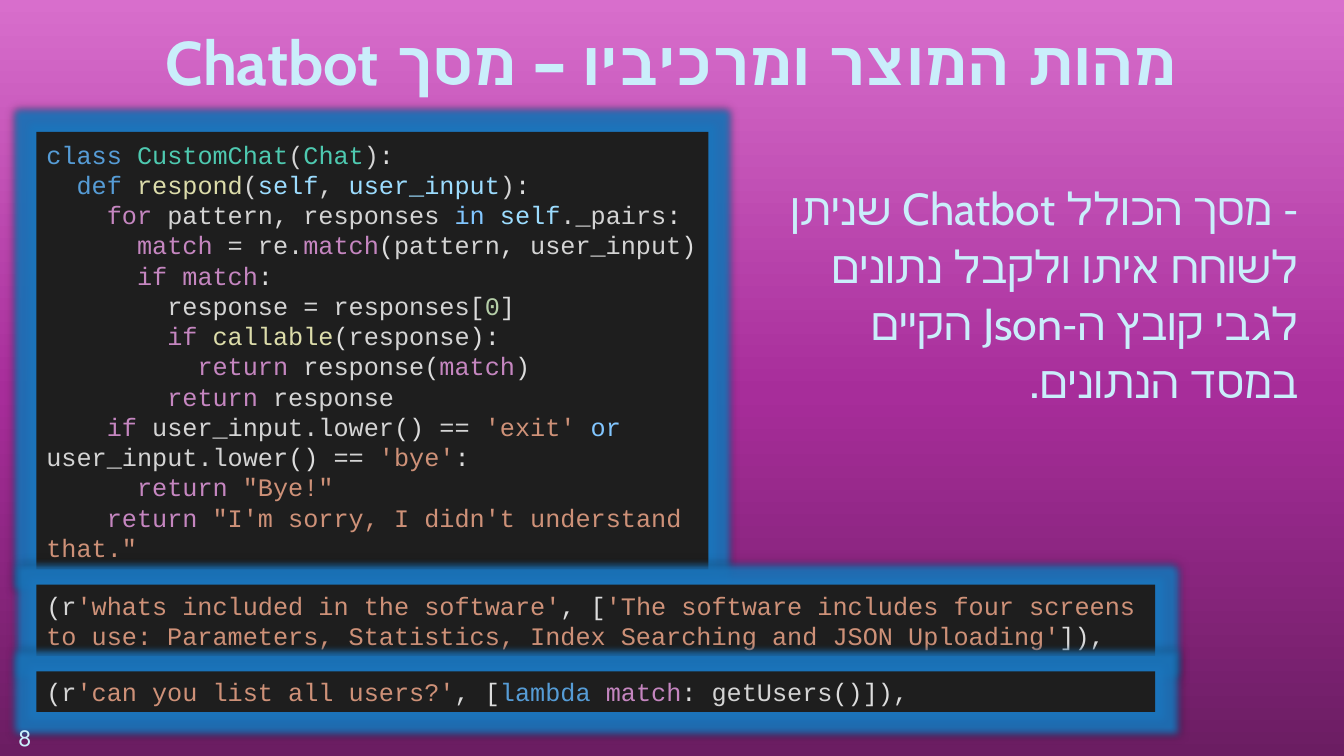
from copy import deepcopy

from lxml import etree
from pptx import Presentation
from pptx.dml.color import RGBColor
from pptx.enum.shapes import MSO_SHAPE
from pptx.enum.text import MSO_ANCHOR, PP_ALIGN
from pptx.oxml.ns import qn
from pptx.util import Pt

RECTANGLE = MSO_SHAPE.RECTANGLE
MIDDLE = MSO_ANCHOR.MIDDLE
LEFT, CENTER, RIGHT = PP_ALIGN.LEFT, PP_ALIGN.CENTER, PP_ALIGN.RIGHT

# Slide colours
PLUM = RGBColor(0x6B, 0x1D, 0x62)
MAGENTA = RGBColor(0xA7, 0x2D, 0x9A)
PINK = RGBColor(0xD8, 0x6E, 0xCC)
PALE_BLUE = RGBColor(0xCA, 0xEE, 0xFB)
GLOW = RGBColor(0x1B, 0x75, 0xBC)
BLACK = RGBColor(0, 0, 0)

# Code colours
EDITOR = RGBColor(0x1E, 0x1E, 0x1E)
PLAIN = RGBColor(0xD4, 0xD4, 0xD4)
MARK = RGBColor(0xDC, 0xDC, 0xDC)
DECLARE = RGBColor(0x56, 0x9C, 0xD6)
TYPE = RGBColor(0x4E, 0xC9, 0xB0)
FUNC = RGBColor(0xDC, 0xDC, 0xAA)
VAR = RGBColor(0x9C, 0xDC, 0xFE)
FLOW = RGBColor(0xC5, 0x86, 0xC0)
OPER = RGBColor(0x82, 0xC6, 0xFF)
NUM = RGBColor(0xB5, 0xCE, 0xA8)
STRING = RGBColor(0xCE, 0x91, 0x78)

CODE_SIZE = 18
INDENT = 2 * 0.6 * CODE_SIZE  # two monospaced characters

# Each code line: indent level, then (text, colour) tokens
CLASS_CODE = [
    (0, [("class", DECLARE), (" ", PLAIN), ("CustomChat", TYPE), ("(", PLAIN),
         ("Chat", TYPE), (")", PLAIN), (":", MARK)]),
    (1, [("def", DECLARE), (" ", PLAIN), ("respond", FUNC), ("(", PLAIN),
         ("self", VAR), (", ", PLAIN), ("user_input", VAR), (")", PLAIN),
         (":", MARK)]),
    (2, [("for", FLOW), (" pattern", PLAIN), (",", MARK),
         (" responses ", PLAIN), ("in", OPER), (" ", PLAIN), ("self", VAR),
         ("._pairs", PLAIN), (":", MARK)]),
    (3, [("match", FLOW), (" = re.", PLAIN), ("match", FLOW), ("(", MARK),
         ("pattern", PLAIN), (",", MARK), (" user_input", PLAIN),
         (")", MARK)]),
    (3, [("if", FLOW), (" ", PLAIN), ("match", FLOW), (":", MARK)]),
    (4, [("response = responses", PLAIN), ("[", MARK), ("0", NUM),
         ("]", MARK)]),
    (4, [("if", FLOW), (" ", PLAIN), ("callable", FUNC), ("(", MARK),
         ("response", PLAIN), ("):", MARK)]),
    (5, [("return", FLOW), (" response", PLAIN), ("(", MARK),
         ("match", FLOW), (")", MARK)]),
    (4, [("return", FLOW), (" response", PLAIN)]),
    (2, [("if", FLOW), (" user_input.lower", PLAIN), ("()", MARK),
         (" == ", PLAIN), ("'exit'", STRING), (" ", PLAIN), ("or", OPER),
         (" user_input.lower", PLAIN), ("()", MARK), (" == ", PLAIN),
         ("'bye'", STRING), (":", MARK)]),
    (3, [("return", FLOW), (" ", PLAIN), ('"Bye!"', STRING)]),
    (2, [("return", FLOW), (" ", PLAIN),
         ('"I\'m sorry, I didn\'t understand that."', STRING)]),
]
SOFTWARE_CODE = [
    (0, [("(", MARK), ("r", PLAIN),
         ("'whats included in the software'", STRING), (",", MARK),
         (" ", PLAIN), ("[", MARK),
         ("'The software includes four screens to use: Parameters, "
          "Statistics, Index Searching and JSON Uploading'", STRING),
         ("]),", MARK)]),
]
USERS_CODE = [
    (0, [("(", MARK), ("r", PLAIN), ("'can you list all users?'", STRING),
         (",", MARK), (" ", PLAIN), ("[", MARK), ("lambda", DECLARE),
         (" ", PLAIN), ("match", FLOW), (":", MARK), (" getUsers", PLAIN),
         ("()]),", MARK)]),
]


def add_background(slide):
    fill = slide.background.fill
    fill.gradient()
    fill.gradient_angle = 90
    stop_list = next(slide.element.iter(qn("a:gsLst")))
    stop_list.insert(1, deepcopy(stop_list[0]))
    stops = zip(fill.gradient_stops, (0, 0.48, 1), (PLUM, MAGENTA, PINK))
    for stop, position, color in stops:
        stop.position = position
        stop.color.rgb = color


def add_rtl_text(slide, box, text, size, font, align, bold=False, spacing=1.0):
    sp = slide.shapes.add_textbox(*map(Pt, box))
    tf = sp.text_frame
    tf.word_wrap = True
    p = tf.paragraphs[0]
    p.text = text
    p.alignment = align
    p.line_spacing = spacing
    p._p.get_or_add_pPr().set("rtl", "1")
    p.font.name, p.font.size, p.font.bold = font, Pt(size), bold
    p.font.color.rgb = PALE_BLUE


def add_effect(effects, tag, color, alpha, **attributes):
    effect = etree.SubElement(effects, qn(tag), attributes)
    clr = etree.SubElement(effect, qn("a:srgbClr"), val=str(color))
    etree.SubElement(clr, qn("a:alpha"), val=str(alpha * 1000))


def add_code_box(slide, box, lines):
    sp = slide.shapes.add_shape(RECTANGLE, *map(Pt, box))
    sp.fill.solid()
    sp.fill.fore_color.rgb = EDITOR
    sp.line.fill.background()

    # Blue glow over a soft shadow
    sp.shadow.inherit = False
    effects = sp._element.spPr.find(qn("a:effectLst"))
    add_effect(effects, "a:glow", GLOW, 90, rad=str(Pt(10)))
    add_effect(effects, "a:outerShdw", BLACK, 40, blurRad=str(Pt(5)))

    # Coloured code, one paragraph a line
    tf = sp.text_frame
    tf.word_wrap = True
    tf.vertical_anchor = MIDDLE
    for i, (level, tokens) in enumerate(lines):
        p = tf.add_paragraph() if i else tf.paragraphs[0]
        p.alignment = LEFT
        p._p.get_or_add_pPr().set("indent", str(Pt(level * INDENT)))
        p.font.name, p.font.size = "Courier New", Pt(CODE_SIZE)
        for text, color in tokens:
            r = p.add_run()
            r.text = text
            r.font.color.rgb = color


def build_chatbot_slide(prs):
    slide = prs.slides.add_slide(prs.slide_layouts[6])
    add_background(slide)

    # Title and description
    add_rtl_text(slide, (65.5, 13.7, 828.7, 60.5),
                 "מהות המוצר ומרכיביו – מסך Chatbot",
                 44, "Cabin", CENTER, bold=True)
    add_rtl_text(slide, (532, 123, 402.5, 169),
                 "- מסך הכולל Chatbot שניתן לשוחח איתו ולקבל נתונים "
                 "לגבי קובץ ה-Json הקיים במסד הנתונים.",
                 32, "Cabin", RIGHT, spacing=1.07)

    # Code boxes share a left edge
    for top, width, height, lines in (
            (94.3, 480, 312.5, CLASS_CODE),
            (417.6, 799.2, 51, SOFTWARE_CODE),
            (479.5, 799.2, 29, USERS_CODE)):
        add_code_box(slide, (26, top, width, height), lines)

    # Slide number
    add_rtl_text(slide, (0, 512.6, 35.3, 27.4), "8", 16, "Quicksand", CENTER,
                 spacing=1.07)


def main():
    prs = Presentation()
    prs.slide_width, prs.slide_height = Pt(960), Pt(540)
    build_chatbot_slide(prs)
    prs.save("out.pptx")


if __name__ == "__main__":
    main()
